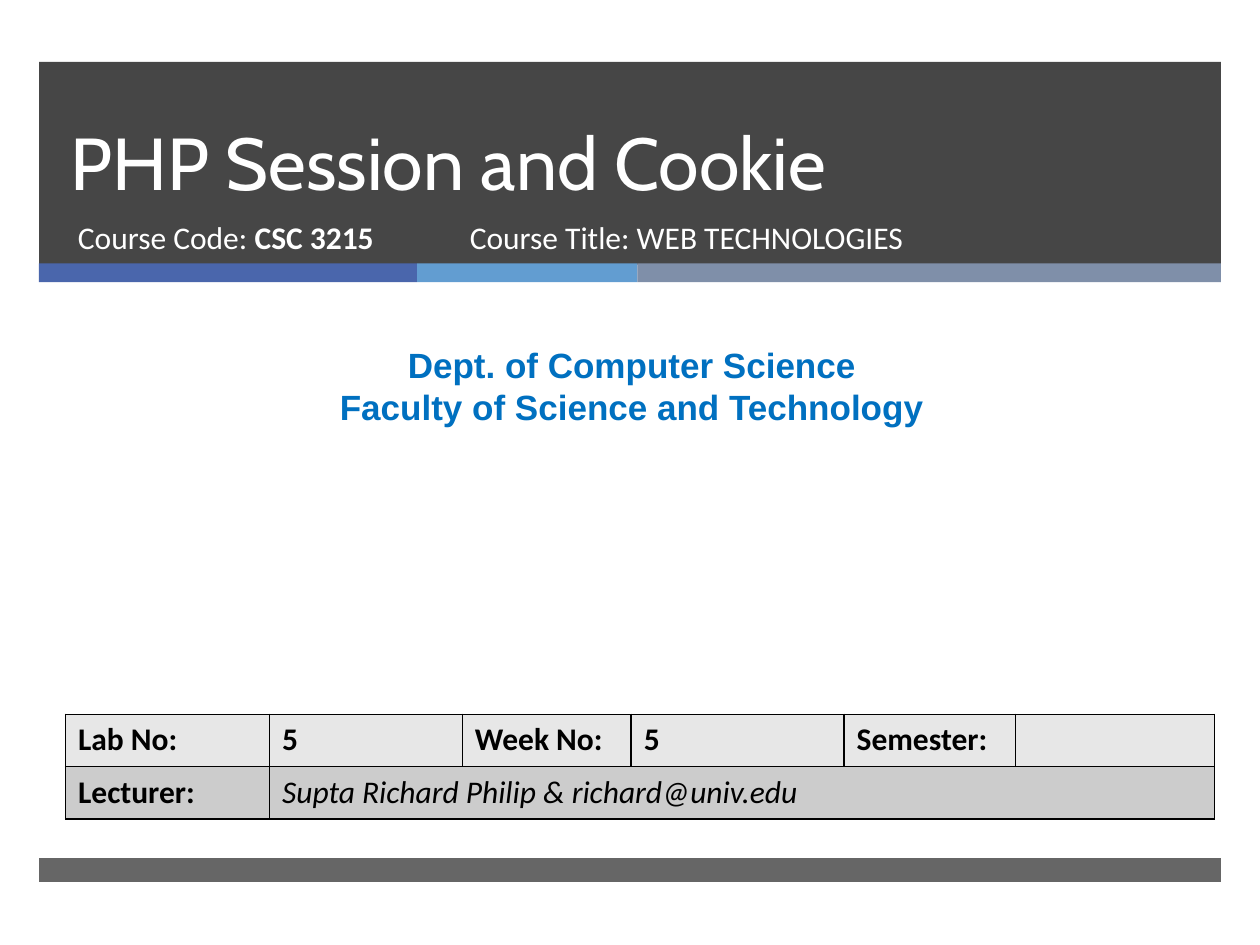
from dataclasses import dataclass

from lxml import etree
from pptx import Presentation
from pptx.dml.color import RGBColor
from pptx.enum import shapes, text
from pptx.oxml import ns
from pptx.util import Inches, Pt


@dataclass(frozen=True)
class Theme:
    dark: str = "262626"
    white: str = "FFFFFF"
    black: str = "000000"
    heading: str = "0070C0"
    stripes: tuple = ("4A66AC", "629DD1", "7F8FA9")
    rows: tuple = ("E7E7E7", "CCCCCC")
    title_font: str = "Cabin"
    body_font: str = "Calibri"
    heading_font: str = "Arial"
    title_size: int = 42
    heading_size: int = 20
    body_size: int = 18


THEME = Theme()


def add_child(parent, tag, **attributes):
    return etree.SubElement(parent, ns.qn(tag), **attributes)


def add_bar(page, box, color, opacity=100):
    bar = page.shapes.add_shape(shapes.MSO_SHAPE.RECTANGLE, *map(Inches, box))
    bar.shadow.inherit = False
    bar.line.fill.background()
    bar.fill.solid()
    bar.fill.fore_color.rgb = RGBColor.from_string(color)
    if opacity < 100:
        fill_color = bar.fill._xPr.find(".//" + ns.qn("a:srgbClr"))
        add_child(fill_color, "a:alpha", val=str(opacity * 1000))


def write_span(para, words, font=THEME.body_font, size=THEME.body_size,
               color=THEME.black, bold=False, italic=False):
    span = para.add_run()
    span.text = words
    span.font.name = font
    span.font.size = Pt(size)
    span.font.bold = bold
    span.font.italic = italic
    span.font.color.rgb = RGBColor.from_string(color)


def add_text(page, box, lines, align=text.PP_ALIGN.LEFT,
             anchor=text.MSO_ANCHOR.TOP, spacing=None, **style):
    """Each line is a list of (words, bold) pairs."""
    frame = page.shapes.add_textbox(*map(Inches, box)).text_frame
    frame.word_wrap = True
    frame.vertical_anchor = anchor
    for index, line in enumerate(lines):
        para = frame.add_paragraph() if index else frame.paragraphs[0]
        para.alignment = align
        if spacing:
            para.line_spacing = Pt(spacing)
        for words, bold in line:
            write_span(para, words, bold=bold, **style)


def add_banner(page, left, top, width, height):
    add_bar(page, (left, top, width, height), THEME.dark, opacity=85)

    # Stripes along the lower edge
    stripe_left = left
    for stripe_width, color in zip((3, 1.75, 4.63), THEME.stripes):
        add_bar(page, (stripe_left, top + 1.6, stripe_width, 0.15), color)
        stripe_left += stripe_width

    # Title and course details
    add_text(page, (left + 0.15, top, 8.54, 1.19),
             [[("PHP Session and Cookie", False)]],
             anchor=text.MSO_ANCHOR.BOTTOM, spacing=46, color=THEME.white,
             font=THEME.title_font, size=THEME.title_size)
    add_text(page, (left + 0.21, top + 1.19, 3.05, 0.53),
             [[("Course Code: ", False), ("CSC 3215", True)]], color=THEME.white)
    add_text(page, (left + 3.32, top + 1.19, 4.55, 0.53),
             [[("Course Title: WEB TECHNOLOGIES", False)]], color=THEME.white)


def add_department(page, *box):
    add_text(page, box,
             [[("Dept. of Computer Science", True)],
              [("Faculty of Science and Technology", True)]],
             align=text.PP_ALIGN.CENTER, color=THEME.heading,
             font=THEME.heading_font, size=THEME.heading_size)


def set_borders(cell, color, width=1):
    properties = cell._tc.get_or_add_tcPr()
    for position, side in enumerate(("a:lnL", "a:lnR", "a:lnT", "a:lnB")):
        line = etree.Element(ns.qn(side), w=str(Pt(width)))
        add_child(add_child(line, "a:solidFill"), "a:srgbClr", val=color)
        properties.insert(position, line)


def add_details(page, left, top, width, height):
    rows = (("Lab No:", "5", "Week No:", "5", "Semester:", ""),
            ("Lecturer:", "Supta Richard Philip & richard@univ.edu", "", "", "", ""))
    column_widths = (1.62, 1.53, 1.34, 1.69, 1.36, 1.58)
    table = page.shapes.add_table(len(rows), len(column_widths),
                                  *map(Inches, (left, top, width, height))).table
    for column, column_width in zip(table.columns, column_widths):
        column.width = Inches(column_width)
    table.cell(1, 1).merge(table.cell(1, 5))

    for row_index, row in enumerate(rows):
        for column_index, words in enumerate(row):
            cell = table.cell(row_index, column_index)
            cell.fill.solid()
            cell.fill.fore_color.rgb = RGBColor.from_string(THEME.rows[row_index])
            set_borders(cell, THEME.black)
            para = cell.text_frame.paragraphs[0]
            para.font.size = Pt(THEME.body_size)
            if words:
                lecturer = (row_index, column_index) == (1, 1)
                write_span(para, words, bold=not lecturer, italic=lecturer)


def build_cover(deck):
    page = deck.slides.add_slide(deck.slide_layouts[6])
    add_banner(page, 0.31, 0.49, 9.38, 1.61)
    add_bar(page, (0.31, 6.81, 9.38, 0.19), THEME.dark, opacity=70)
    add_department(page, 0.08, 2.68, 9.87, 0.77)
    add_details(page, 0.52, 5.67, 9.12, 0.83)


deck = Presentation()
deck.slide_width, deck.slide_height = Inches(10), Inches(7.5)
build_cover(deck)
deck.save("out.pptx")
